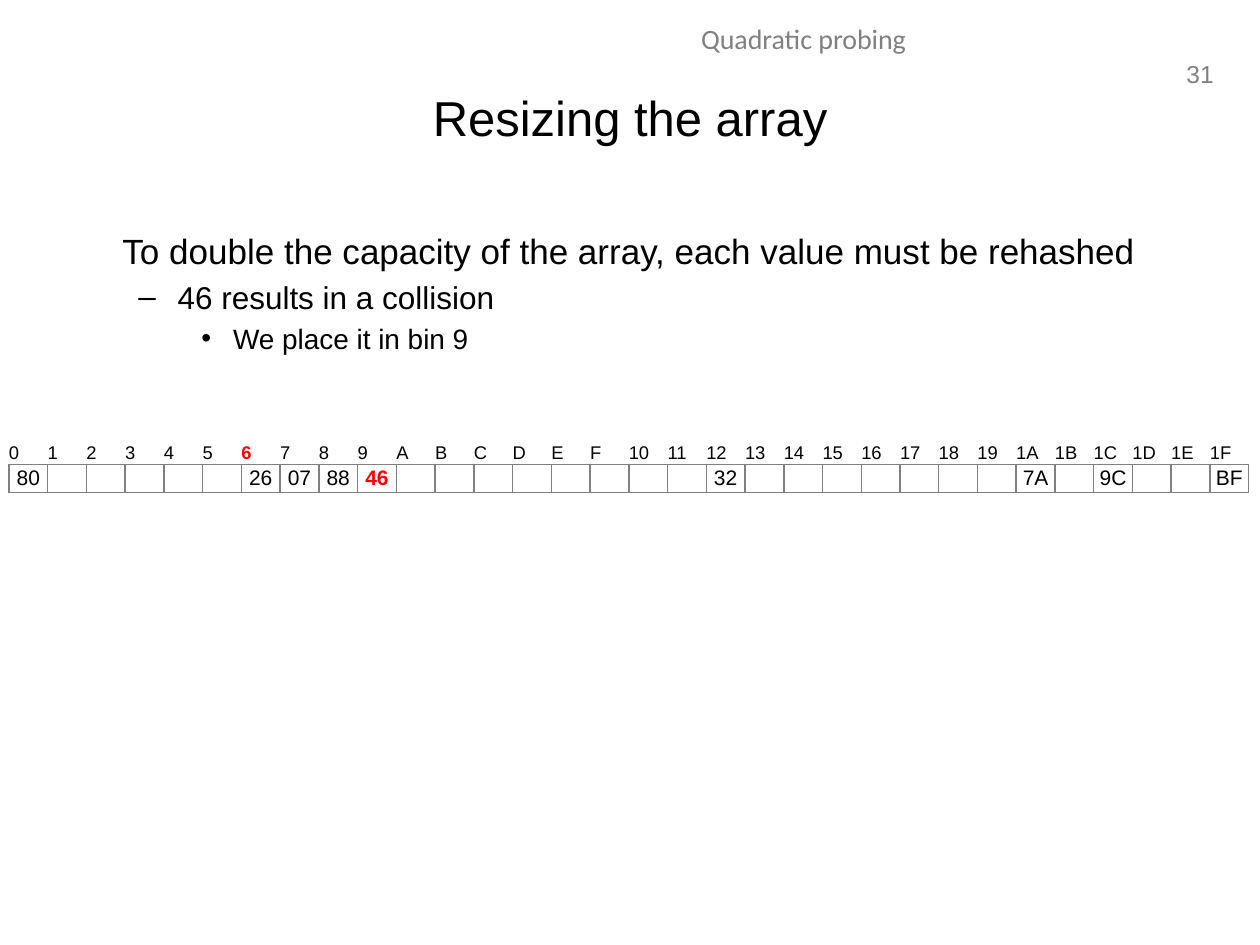
from dataclasses import dataclass

from lxml import etree
from pptx import Presentation
from pptx.dml.color import RGBColor
from pptx.enum.text import MSO_ANCHOR, PP_ALIGN
from pptx.oxml.ns import qn
from pptx.util import Cm, Pt

BLACK = RGBColor(0x00, 0x00, 0x00)
GRAY = RGBColor(0x80, 0x80, 0x80)
RED = RGBColor(0xFF, 0x00, 0x00)

LEFT, CENTER, RIGHT = PP_ALIGN.LEFT, PP_ALIGN.CENTER, PP_ALIGN.RIGHT
TOP, MIDDLE = MSO_ANCHOR.TOP, MSO_ANCHOR.MIDDLE

NO_STYLE_TABLE = "{2D5ABB26-0587-4C30-8999-92F81FD0307C}"
ALL_SIDES = ("lnL", "lnR", "lnT", "lnB")
BIN_COUNT = 32
HASHED_VALUES = {
    0x00: "80", 0x06: "26", 0x07: "07", 0x08: "88", 0x09: "46",
    0x12: "32", 0x1A: "7A", 0x1C: "9C", 0x1F: "BF",
}
COLLIDING_BIN = 0x06
PLACED_BIN = 0x09


@dataclass
class Label:
    text: str
    left: float
    top: float
    width: float
    height: float
    size: float
    color: RGBColor = BLACK
    font: str = "Arial"
    align: PP_ALIGN = CENTER
    anchor: MSO_ANCHOR = TOP
    wrap: bool = True


@dataclass
class OutlineItem:
    text: str
    size: float
    margin: float
    hanging: float = 0
    bullet: str = ""


LABELS = [
    Label("31", 23.6, 1.07, 1.12, 0.84, 14, GRAY, align=RIGHT, wrap=False),
    Label("Quadratic probing", 8.1, 0.3, 16.2, 1.02, 16, GRAY, "Calibri"),
    Label("Resizing the array", 1.27, 0.76, 22.86, 3.18, 28, anchor=MIDDLE),
]
OUTLINE = [
    OutlineItem("To double the capacity of the array, each value must be rehashed", 20, 0.95),
    OutlineItem("46 results in a collision", 18, 2.06, 0.79, "–"),
    OutlineItem("We place it in bin 9", 16, 3.18, 0.64, "•"),
]


def add_run(paragraph, text: str, size: float, color: RGBColor = BLACK,
            font: str = "Arial", bold: bool = False) -> None:
    run = paragraph.add_run()
    run.text = text
    run.font.name = font
    run.font.size = Pt(size)
    run.font.bold = bold
    run.font.color.rgb = color


def add_label(slide, label: Label) -> None:
    box = slide.shapes.add_textbox(
        Cm(label.left), Cm(label.top), Cm(label.width), Cm(label.height))
    frame = box.text_frame
    frame.word_wrap = label.wrap
    frame.vertical_anchor = label.anchor
    paragraph = frame.paragraphs[0]
    paragraph.alignment = label.align
    add_run(paragraph, label.text, label.size, label.color, label.font)


def add_outline(slide, items: list[OutlineItem]) -> None:
    frame = slide.shapes.add_textbox(Cm(1.27), Cm(4.5), Cm(22.86), Cm(12.57)).text_frame
    frame.word_wrap = True
    for level, item in enumerate(items):
        paragraph = frame.add_paragraph() if level else frame.paragraphs[0]
        paragraph.level = level
        properties = paragraph._p.get_or_add_pPr()
        properties.set("marL", str(Cm(item.margin)))
        properties.set("indent", str(-Cm(item.hanging)))
        if item.bullet:
            etree.SubElement(properties, qn("a:buFont"), typeface="Arial")
            etree.SubElement(properties, qn("a:buChar"), char=item.bullet)
        if level:
            paragraph.space_before = Pt(item.size * 0.2)
        add_run(paragraph, item.text, item.size)


def set_borders(cell, sides: tuple[str, ...]) -> None:
    """Draw a thin gray line on each named side of the cell."""
    properties = cell._tc.get_or_add_tcPr()
    for side in sides:
        line = etree.SubElement(properties, qn(f"a:{side}"), w=str(Pt(1)))
        fill = etree.SubElement(line, qn("a:solidFill"))
        etree.SubElement(fill, qn("a:srgbClr"), val=str(GRAY))


def fill_cell(cell, text: str, size: float, align: PP_ALIGN,
              highlighted: bool, sides: tuple[str, ...]) -> None:
    cell.margin_left = cell.margin_right = cell.margin_top = cell.margin_bottom = 0
    cell.vertical_anchor = MIDDLE
    set_borders(cell, sides)
    cell.fill.background()
    paragraph = cell.text_frame.paragraphs[0]
    paragraph.alignment = align
    if text:
        add_run(paragraph, text, size, RED if highlighted else BLACK, bold=highlighted)
    else:
        # An empty cell needs its own text size to keep the row low.
        etree.SubElement(paragraph._p, qn("a:endParaRPr"), sz=str(size * 100))


def add_hash_table(slide) -> None:
    table = slide.shapes.add_table(
        2, BIN_COUNT, Cm(0.18), Cm(8.92), Cm(25.02), Cm(0.97)).table
    table.first_row = table.horz_banding = False
    table._tbl.tblPr.find(qn("a:tableStyleId")).text = NO_STYLE_TABLE
    table.rows[0].height = Cm(0.41)
    table.rows[1].height = Cm(0.56)
    for number in range(BIN_COUNT):
        fill_cell(table.cell(0, number), f"{number:X}", 10.5, LEFT,
                  number == COLLIDING_BIN, ("lnB",))
        fill_cell(table.cell(1, number), HASHED_VALUES.get(number, ""), 12, CENTER,
                  number == PLACED_BIN, ALL_SIDES)


def main() -> None:
    presentation = Presentation()
    presentation.slide_width = Cm(25.4)
    presentation.slide_height = Cm(19.05)
    slide = presentation.slides.add_slide(presentation.slide_layouts[6])
    for label in LABELS:
        add_label(slide, label)
    add_outline(slide, OUTLINE)
    add_hash_table(slide)
    presentation.save("out.pptx")


if __name__ == "__main__":
    main()
